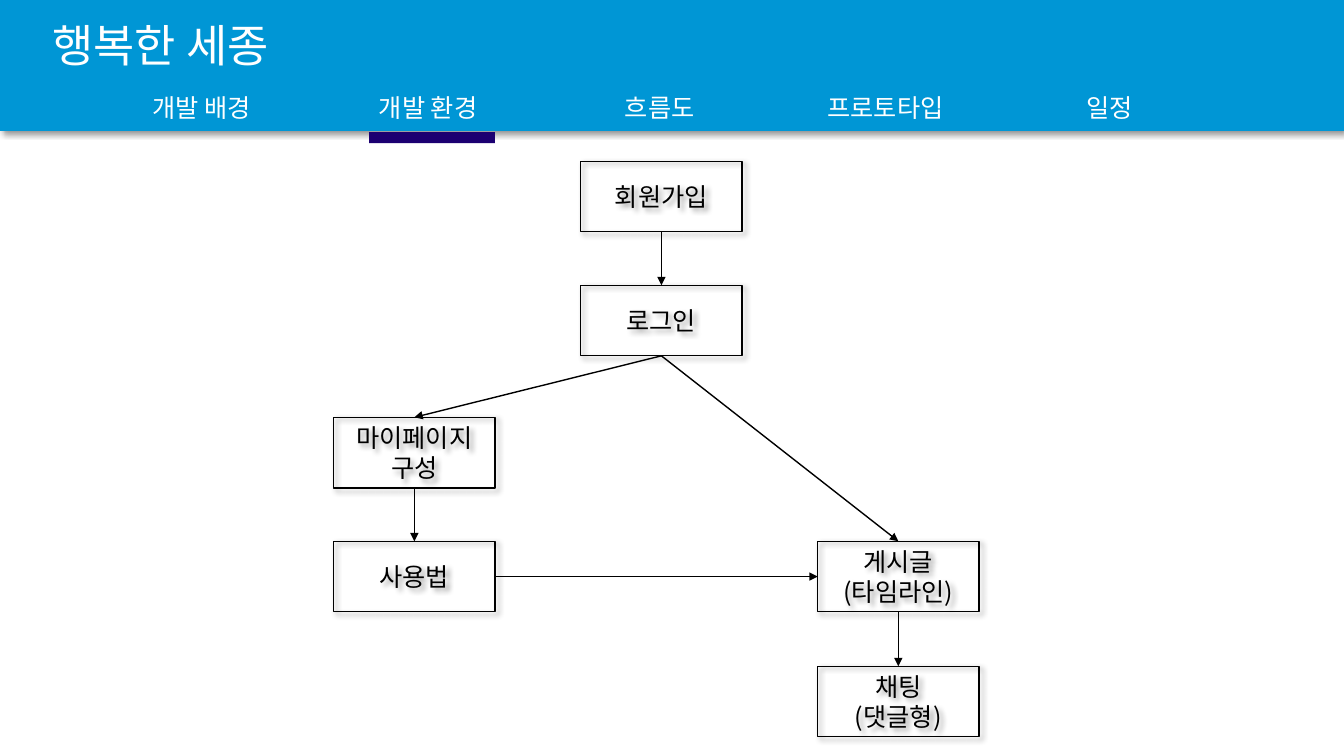
from lxml import etree
from pptx import Presentation
from pptx import util as u
from pptx.dml import color
from pptx.enum import shapes, text
from pptx.oxml import ns


def rgb(value):
    """Turn a hex string into a colour."""
    return color.RGBColor.from_string(value)


def sub(parent, tag, **attrs):
    """Append a DrawingML child element."""
    return etree.SubElement(parent, ns.qn(tag), attrs)


def write(tf, content, size=18, ink="000000", font="Noto Sans CJK KR", align=None):
    """Fill a text frame with one paragraph per line."""
    for i, line in enumerate(content.split("\n")):
        p = tf.add_paragraph() if i else tf.paragraphs[0]
        p.alignment = align
        r = p.add_run()
        r.text = line
        r.font.size = u.Pt(size)
        r.font.name = font
        r.font.color.rgb = rgb(ink)
        sub(r.font._element, "a:ea", typeface=font)


class FlowSlide:
    """Hold the style and the current slide."""

    BLUE, NAVY, WHITE, BLACK = "0096D5", "1C0071", "FFFFFF", "000000"
    BOX_W, BOX_H = 1.6, 0.7
    TOP, LEFT, BOTTOM, RIGHT = range(4)

    def __init__(self, prs):
        """Add a blank slide."""
        self.s = prs.slides.add_slide(prs.slide_layouts[6])

    def rect(self, x, y, w, h, fill=None, line=None, shadow=False):
        """Draw a rectangle."""
        sp = self.s.shapes.add_shape(
            shapes.MSO_SHAPE.RECTANGLE, *map(u.Inches, (x, y, w, h)))
        if fill:
            sp.fill.solid()
            sp.fill.fore_color.rgb = rgb(fill)
        else:
            sp.fill.background()
        if line:
            sp.line.color.rgb = rgb(line)
            sp.line.width = u.Pt(1)
        else:
            sp.line.fill.background()
        sp.shadow.inherit = False
        if shadow:
            effects = sp._element.spPr.find(ns.qn("a:effectLst"))
            outer = sub(effects, "a:outerShdw", blurRad=str(u.Pt(4)), dist=str(u.Pt(3)),
                        dir="2700000", algn="tl", rotWithShape="0")
            sub(sub(outer, "a:srgbClr", val=self.BLACK), "a:alpha", val="40000")
        return sp

    def label(self, content, x, y, w, h, **fmt):
        """Place white text on the header."""
        tf = self.s.shapes.add_textbox(*map(u.Inches, (x, y, w, h))).text_frame
        tf.word_wrap = False
        tf.auto_size = text.MSO_AUTO_SIZE.SHAPE_TO_FIT_TEXT
        write(tf, content, ink=self.WHITE, **fmt)

    def step(self, content, x, y):
        """Draw one outlined step of the flow."""
        sp = self.rect(x, y, self.BOX_W, self.BOX_H, line=self.BLACK, shadow=True)
        tf = sp.text_frame
        tf.word_wrap = True
        tf.vertical_anchor = text.MSO_ANCHOR.MIDDLE
        write(tf, content, align=text.PP_ALIGN.CENTER)
        return sp

    def arrow(self, start, end, out=BOTTOM, into=TOP):
        """Join two steps with an arrow."""
        c = self.s.shapes.add_connector(shapes.MSO_CONNECTOR.STRAIGHT, 0, 0, 0, 0)
        c.begin_connect(start, out)
        c.end_connect(end, into)
        c.line.color.rgb = rgb(self.BLACK)
        c.line.width = u.Pt(1)
        sub(c.line._get_or_add_ln(), "a:tailEnd", type="triangle")
        sub(c._element.spPr, "a:effectLst")


def main():
    """Build and save the slide."""
    prs = Presentation()
    prs.slide_width, prs.slide_height = u.Inches(13.33), u.Inches(7.5)
    flow = FlowSlide(prs)

    flow.rect(0, 0, 13.33, 1.3, fill=flow.BLUE, shadow=True)
    flow.label("행복한 세종", 0.42, 0.13, 2.49, 0.64, size=32)
    for name, x, w in (("개발 배경", 1.41, 1.24), ("개발 환경", 3.66, 1.24),
                       ("흐름도", 6.1, 0.93), ("프로토타입", 8.11, 1.41),
                       ("일정", 10.68, 0.69)):
        flow.label(name, x, 0.87, w, 0.4)
    flow.rect(3.66, 1.31, 1.25, 0.11, fill=flow.NAVY)

    left, middle, right = 3.31, 5.76, 8.11
    join = flow.step("회원가입", middle, 1.6)
    login = flow.step("로그인", middle, 2.83)
    my_page = flow.step("마이페이지\n구성", left, 4.14)
    post = flow.step("게시글\n(타임라인)", right, 5.37)
    usage = flow.step("사용법", left, 5.37)
    chat = flow.step("채팅\n(댓글형)", right, 6.61)

    for start, end in ((join, login), (login, post), (login, my_page),
                       (my_page, usage), (post, chat)):
        flow.arrow(start, end)
    flow.arrow(usage, post, out=flow.RIGHT, into=flow.LEFT)

    prs.save("out.pptx")


if __name__ == "__main__":
    main()
